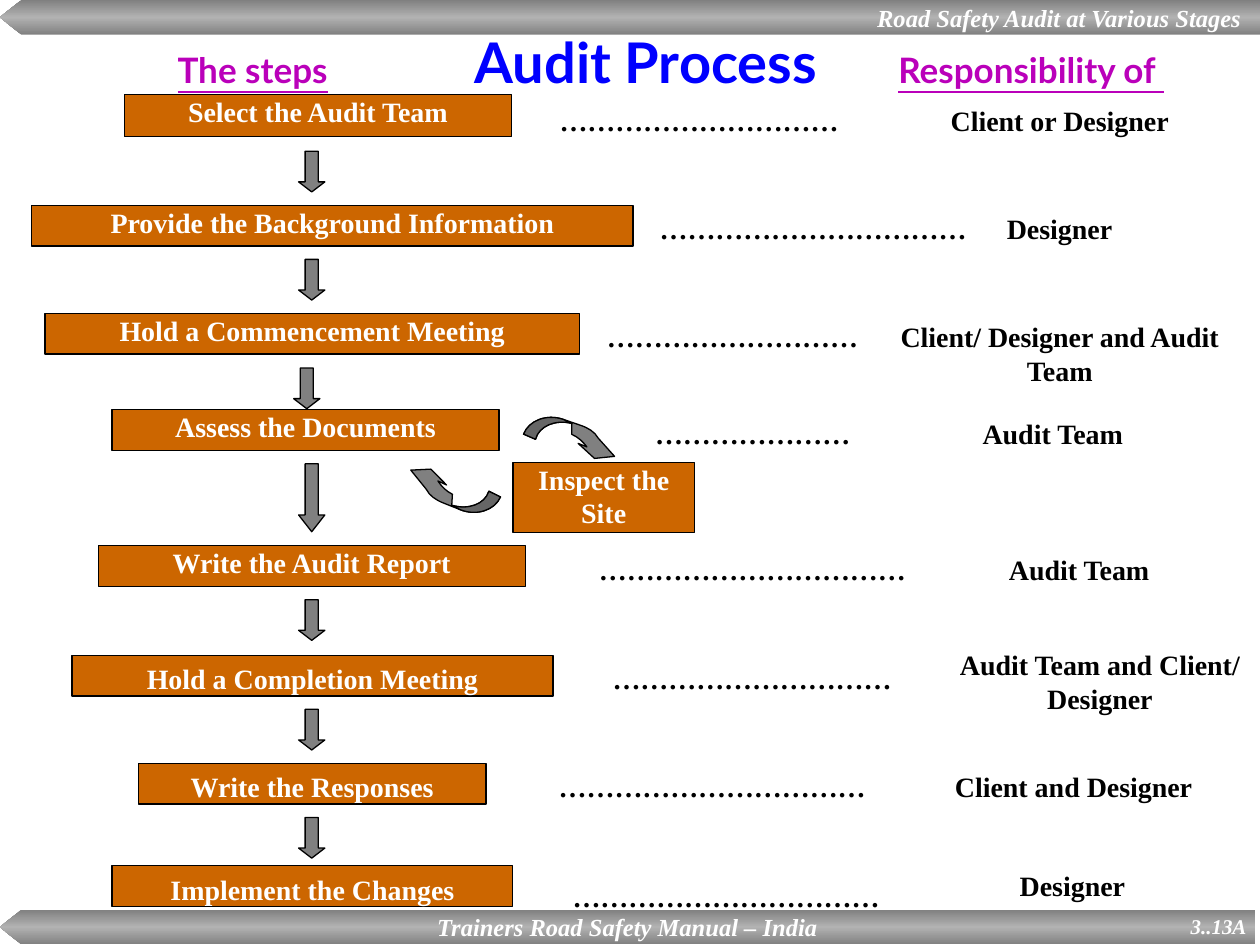
import copy

import lxml.etree
import pptx
import pptx.dml.color
import pptx.enum.shapes
import pptx.enum.text
import pptx.oxml.ns
import pptx.util

Cm = pptx.util.Cm
Pt = pptx.util.Pt
ALIGN = pptx.enum.text.PP_ALIGN
ANCHOR = pptx.enum.text.MSO_ANCHOR
SHAPE = pptx.enum.shapes.MSO_SHAPE
qn = pptx.oxml.ns.qn

SERIF = "Times New Roman"
ROW_HEIGHT = 0.82
TALL_HEIGHT = 1.37

STEPS = [
    ("Select the Audit Team", 2.51, 1.9, 7.8, 0.86, 0),
    ("Provide the Background Information", 0.64, 4.14, 12.12, ROW_HEIGHT, 0),
    ("Hold a Commencement Meeting", 0.91, 6.32, 10.77, ROW_HEIGHT, 0),
    ("Assess the Documents", 2.26, 8.26, 7.8, ROW_HEIGHT, 0),
    ("Inspect the Site", 10.34, 9.32, 3.66, 1.42, 0),
    ("Write the Audit Report", 1.98, 11, 8.61, ROW_HEIGHT, 0),
    ("Hold a Completion Meeting", 1.45, 13.21, 9.7, ROW_HEIGHT, 0.13),
    ("Write the Responses", 2.79, 15.39, 7.01, ROW_HEIGHT, 0.13),
    ("Implement the Changes", 2.26, 17.45, 8.08, ROW_HEIGHT, 0.13),
]

LEADERS = [
    (10, 10.87, 1.96, 6.45),
    (11, 13.03, 4.14, 6.73),
    (9, 11.94, 6.32, 5.66),
    (7, 12.75, 8.26, 4.85),
    (11, 11.4, 11, 7.54),
    (10, 11.94, 13.21, 6.45),
    (11, 10.59, 15.39, 7.54),
    (11, 10.87, 17.6, 7.54),
]

OWNERS = [
    ("Client or Designer", 17.86, 1.96, 7.01, ROW_HEIGHT),
    ("Designer", 19.48, 4.14, 3.76, ROW_HEIGHT),
    ("Client/ Designer and Audit Team", 17.86, 6.32, 7.01, TALL_HEIGHT),
    ("Audit Team", 18.67, 8.26, 5.11, ROW_HEIGHT),
    ("Audit Team", 19.2, 11, 5.11, ROW_HEIGHT),
    ("Audit Team and Client/ Designer", 18.95, 12.93, 6.45, TALL_HEIGHT),
    ("Client and Designer", 18.14, 15.39, 7.01, ROW_HEIGHT),
    ("Designer", 19.74, 17.37, 3.76, ROW_HEIGHT),
]

DOWN_ARROWS = [
    (6.02, 3.05, ROW_HEIGHT, 0.383),
    (6.02, 5.23, ROW_HEIGHT, 0.383),
    (5.92, 7.42, ROW_HEIGHT, 0.383),
    (6.02, 9.35, TALL_HEIGHT, 0.638),
    (6.02, 12.09, ROW_HEIGHT, 0.383),
    (6.02, 14.3, ROW_HEIGHT, 0.383),
    (6.02, 16.48, ROW_HEIGHT, 0.383),
]

TAIL_START = [
    ("moveTo", [(0, 54)]),
    ("cubicBezTo", [(1, 25), (30, 0), (66, 0)]),
]
TAIL_END = [
    ("lnTo", [(85, 2)]),
    ("cubicBezTo", [(51, 5), (24, 28), (26, 56)]),
    ("close", []),
]
ARROW_HEAD = [
    ("lnTo", [(103, 0)]),
    ("cubicBezTo", [(119, 0), (134, 3), (145, 13)]),
    ("lnTo", [(188, 37)]),
    ("lnTo", [(151, 54)]),
    ("lnTo", [(110, 36)]),
    ("lnTo", [(129, 37)]),
    ("cubicBezTo", [(119, 30), (106, 24), (92, 23)]),
]


def color(value):
    return pptx.dml.color.RGBColor.from_string(value)


def write(shape, text, size=16, font=SERIF, ink="000000", align=ALIGN.CENTER,
          anchor=ANCHOR.TOP, inset_top=0.13, italic=False, underline=False):
    frame = shape.text_frame
    frame.word_wrap = True
    frame.vertical_anchor = anchor
    frame.margin_left = frame.margin_right = Cm(0.25)
    frame.margin_top, frame.margin_bottom = Cm(inset_top), Cm(0.13)
    para = frame.paragraphs[0]
    para.alignment = align
    span = para.add_run()
    span.text = text
    span.font.name = font
    span.font.size = Pt(size)
    span.font.bold = True
    span.font.italic = italic
    span.font.underline = underline
    span.font.color.rgb = color(ink)


def paint(shape, fill):
    shape.shadow.inherit = False
    shape.fill.solid()
    shape.fill.fore_color.rgb = color(fill)
    shape.line.color.rgb = color("000000")
    shape.line.width = Pt(0.75)


def add_label(page, text, left, top, width, height, **style):
    box = page.shapes.add_textbox(Cm(left), Cm(top), Cm(width), Cm(height))
    write(box, text, **style)


def add_step(page, text, left, top, width, height, inset_top):
    box = page.shapes.add_shape(SHAPE.RECTANGLE, Cm(left), Cm(top), Cm(width), Cm(height))
    paint(box, "CC6600")
    write(box, text, ink="FFFFFF", inset_top=inset_top)


def add_down_arrow(page, left, top, height, head):
    arrow = page.shapes.add_shape(SHAPE.DOWN_ARROW, Cm(left), Cm(top), Cm(0.53), Cm(height))
    arrow.adjustments[0] = 0.5
    arrow.adjustments[1] = head
    paint(arrow, "808080")


def add_outline(page, points):
    corners = [(Cm(x), Cm(y)) for x, y in points]
    builder = page.shapes.build_freeform(*corners[0])
    builder.add_line_segments(corners[1:], close=True)
    return builder.convert_to_shape()


def add_band(page, text, top, width, align):
    band = add_outline(page, [(width, top), (0.43, top), (0, top + 0.35),
                              (0.43, top + 0.7), (width, top + 0.7)])
    band.shadow.inherit = False
    band.line.fill.background()
    band.fill.gradient()
    band.fill.gradient_angle = 90
    for stop in band.fill.gradient_stops:
        stop.color.rgb = color("808080")
    stops = band._element.spPr.find(".//" + qn("a:gsLst"))
    stops.insert(1, copy.deepcopy(stops[0]))
    for stop, position, value in zip(band.fill.gradient_stops, (0, 0.5, 1),
                                     ("808080", "B2B2B2", "808080")):
        stop.position = position
        stop.color.rgb = color(value)
    write(band, text, size=14, ink="FFFFFF", align=align, anchor=ANCHOR.MIDDLE, italic=True)


def add_contour(paths, segments, shade):
    contour = lxml.etree.SubElement(paths, qn("a:path"), w="188", h="56", fill=shade)
    for kind, points in segments:
        segment = lxml.etree.SubElement(contour, qn("a:" + kind))
        for x, y in points:
            lxml.etree.SubElement(segment, qn("a:pt"), x=str(x), y=str(y))


def add_curved_arrow(page, left, top, angle):
    right, bottom = left + 1.88, top + 0.56
    arrow = add_outline(page, [(left, top), (right, top), (right, bottom), (left, bottom)])
    paths = arrow._element.spPr.find(".//" + qn("a:pathLst"))
    paths.remove(paths[0])
    add_contour(paths, TAIL_START + ARROW_HEAD + TAIL_END, "norm")
    add_contour(paths, TAIL_START + TAIL_END, "darkenLess")
    arrow.rotation = angle
    paint(arrow, "808080")


def main():
    deck = pptx.Presentation()
    deck.slide_width, deck.slide_height = Cm(25.4), Cm(19.05)
    page = deck.slides.add_slide(deck.slide_layouts[6])
    add_band(page, "Road Safety Audit at Various Stages ", 0, 25.4, ALIGN.RIGHT)
    add_band(page, "Trainers Road Safety Manual – India", 18.34, 25.3, ALIGN.CENTER)
    add_label(page, "3..13A", 22.56, 18.29, 2.82, 0.76, size=12, ink="FFFFFF",
              align=ALIGN.RIGHT, italic=True)
    for text, left, width in (("The steps", 3.33, 5.38), ("Responsibility of ", 17.86, 7.26)):
        add_label(page, text, left, 0.84, width, ROW_HEIGHT, size=20, font="Lato",
                  ink="BA00BA", align=ALIGN.LEFT, underline=True)
    for step in STEPS:
        add_step(page, *step)
    add_curved_arrow(page, 10.59, 8.53, 18.9)
    add_curved_arrow(page, 8.18, 9.63, 201.8)
    for owner in OWNERS:
        add_label(page, *owner)
    for count, left, top, width in LEADERS:
        add_label(page, "…" * count, left, top, width, ROW_HEIGHT)
    for arrow in DOWN_ARROWS:
        add_down_arrow(page, *arrow)
    add_label(page, "Audit Process", 8.89, 0.43, 8.26, 1.63, size=32, font="Lato", ink="0000FF")
    deck.save("out.pptx")


if __name__ == "__main__":
    main()
